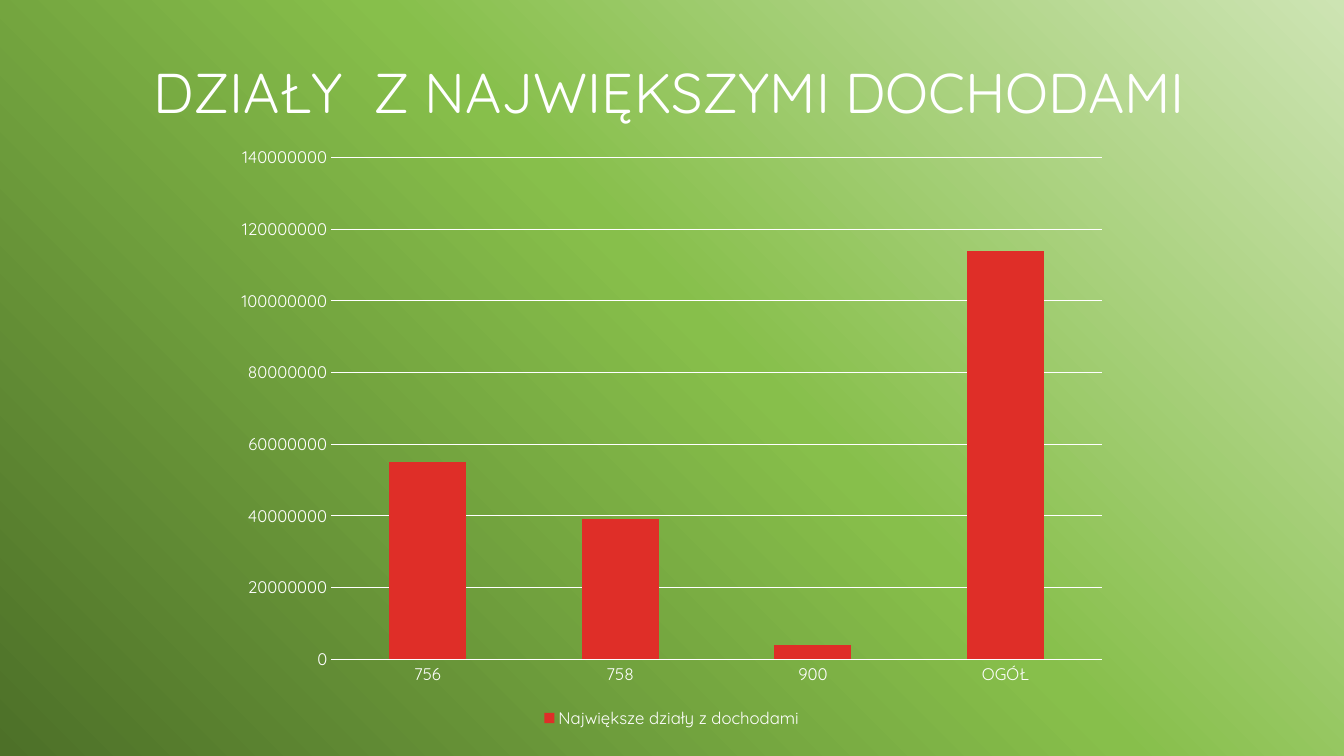
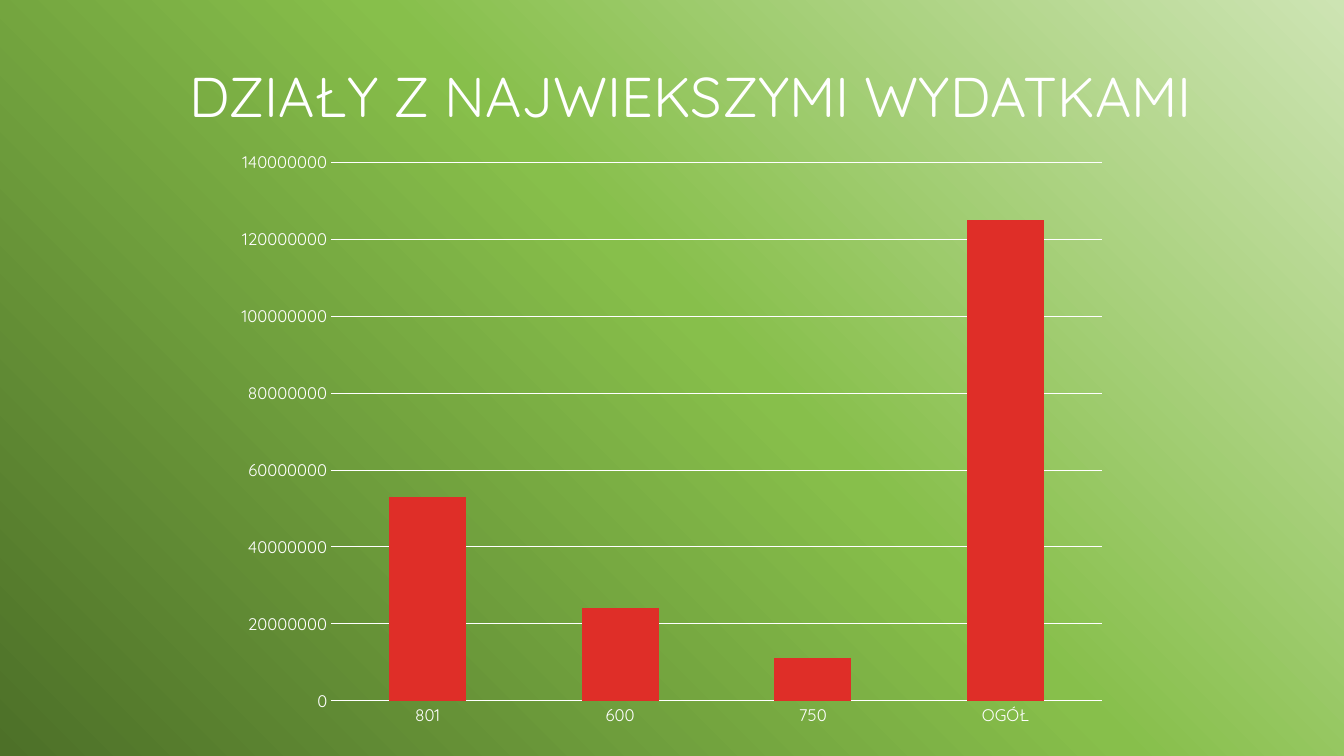
from dataclasses import dataclass

from pptx import Presentation
from pptx.chart.data import CategoryChartData
from pptx.dml.color import RGBColor
from pptx.enum import chart as charts, text
from pptx.oxml import parse_xml
from pptx.oxml.ns import nsdecls
from pptx.util import Cm, Pt


@dataclass(frozen=True)
class Theme:
    font: str = "Quicksand"
    text_color: RGBColor = RGBColor(0xFF, 0xFF, 0xFF)
    bar_color: RGBColor = RGBColor(0xDF, 0x2E, 0x28)
    background: tuple = ((0, "CDE4B3"), (46, "87BF4B"), (100, "4D7028"))
    title_size: Pt = Pt(40)
    label_size: Pt = Pt(12)
    grid_width: Pt = Pt(0.75)


THEME = Theme()
MILLION = 1_000_000

# Positions are in centimetres; chart values are in millions.
SLIDES = [
    {
        "title": "DZIAŁY  Z NAJWIĘKSZYMI DOCHODAMI",
        "title_at": (3.63, 0.61),
        "chart_top": 3.4,
        "series": "Największe działy z dochodami",
        "values": {"756": 55, "758": 39, "900": 4, "OGÓŁ": 114},
        "legend": True,
    },
    {
        "title": "DZIAŁY Z NAJWIEKSZYMI WYDATKAMI",
        "title_at": (4.52, 0.71),
        "chart_top": 3.53,
        "series": "Series 1",
        "values": {"801": 53, "600": 24, "750": 11, "OGÓŁ": 125},
        "legend": False,
    },
]
TITLE_SIZE = (Cm(28.19), Cm(3.58))
CHART_LEFT, CHART_WIDTH, CHART_HEIGHT = Cm(5.64), Cm(22.58), Cm(15.06)


def style_font(font, size):
    font.name = THEME.font
    font.size = size
    font.color.rgb = THEME.text_color


def set_background(slide):
    """Spread the theme gradient from the top right corner."""
    stops = "".join(
        f'<a:gs pos="{position * 1000}"><a:srgbClr val="{color}"/></a:gs>'
        for position, color in THEME.background
    )
    background = parse_xml(
        f'<p:bg {nsdecls("p", "a")}><p:bgPr><a:gradFill rotWithShape="1">'
        f'<a:gsLst>{stops}</a:gsLst>'
        '<a:path path="circle"><a:fillToRect l="100000" b="100000"/></a:path>'
        '<a:tileRect t="-100000" r="-100000"/>'
        '</a:gradFill><a:effectLst/></p:bgPr></p:bg>'
    )
    slide.element.cSld.insert(0, background)


def add_title(slide, wording, position):
    left, top = map(Cm, position)
    frame = slide.shapes.add_textbox(left, top, *TITLE_SIZE).text_frame
    frame.word_wrap = True
    frame.vertical_anchor = text.MSO_ANCHOR.MIDDLE
    paragraph = frame.paragraphs[0]
    paragraph.text = wording
    paragraph.line_spacing = 0.9
    style_font(paragraph.font, THEME.title_size)


def add_column_chart(slide, top, series_name, values, legend):
    data = CategoryChartData(number_format="General")
    data.categories = list(values)
    data.add_series(series_name, [value * MILLION for value in values.values()])
    chart = slide.shapes.add_chart(
        charts.XL_CHART_TYPE.COLUMN_CLUSTERED,
        CHART_LEFT, Cm(top), CHART_WIDTH, CHART_HEIGHT, data,
    ).chart
    style_font(chart.font, THEME.label_size)
    chart.has_title = False
    chart.has_legend = legend
    if legend:
        chart.legend.position = charts.XL_LEGEND_POSITION.BOTTOM
        chart.legend.include_in_layout = False
        style_font(chart.legend.font, THEME.label_size)

    plot = chart.plots[0]
    plot.gap_width = 150
    plot.vary_by_categories = False
    bars = plot.series[0].format.fill
    bars.solid()
    bars.fore_color.rgb = THEME.bar_color

    for axis in (chart.category_axis, chart.value_axis):
        axis.major_tick_mark = axis.minor_tick_mark = charts.XL_TICK_MARK.NONE
        axis.format.line.fill.background()
        style_font(axis.tick_labels.font, THEME.label_size)
    value_axis = chart.value_axis
    value_axis.minimum_scale = 0
    value_axis.maximum_scale = 140 * MILLION
    value_axis.major_unit = 20 * MILLION
    value_axis.has_major_gridlines = True
    grid = value_axis.major_gridlines.format.line
    grid.color.rgb = THEME.text_color
    grid.width = THEME.grid_width


def main():
    presentation = Presentation()
    presentation.slide_width, presentation.slide_height = Cm(33.87), Cm(19.05)
    blank = presentation.slide_layouts[6]
    for content in SLIDES:
        slide = presentation.slides.add_slide(blank)
        set_background(slide)
        add_title(slide, content["title"], content["title_at"])
        add_column_chart(slide, content["chart_top"], content["series"],
                         content["values"], content["legend"])
    presentation.save("out.pptx")


if __name__ == "__main__":
    main()
